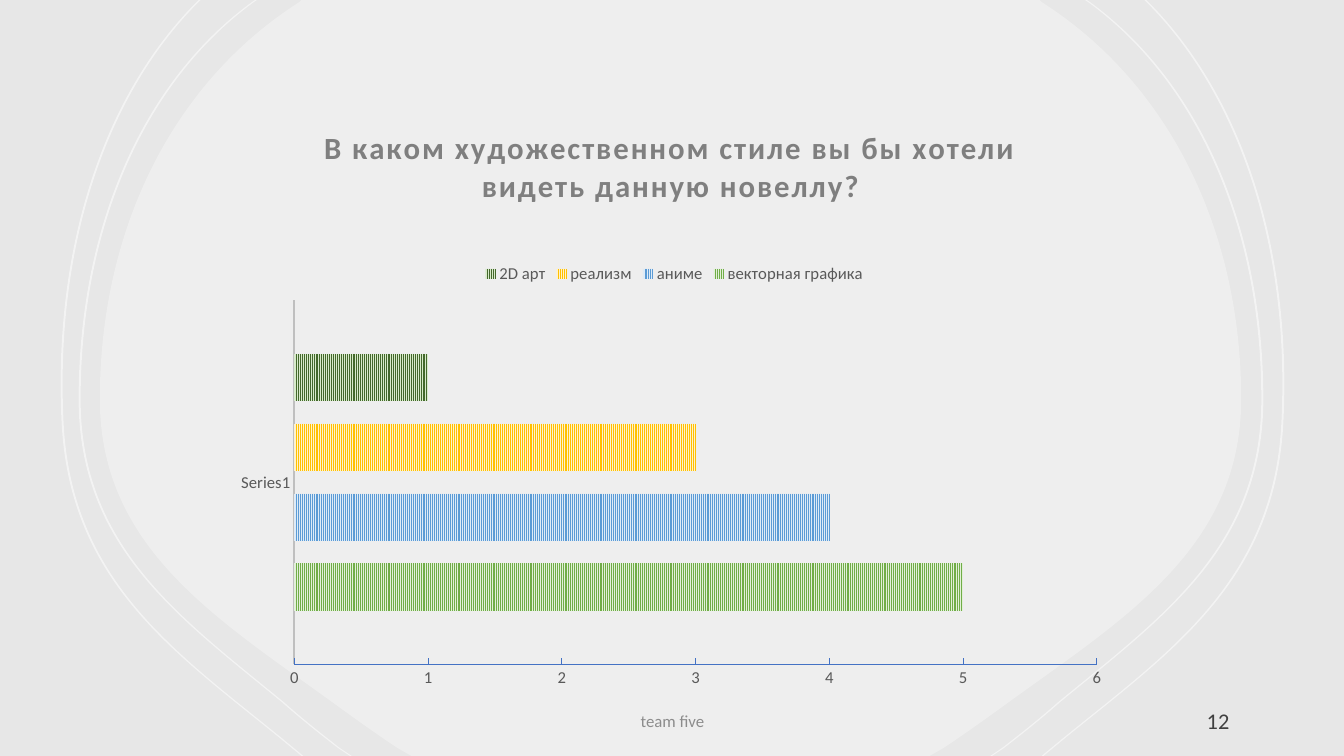
from lxml import etree
from pptx import Presentation
from pptx.chart.data import CategoryChartData
from pptx.dml.color import RGBColor
from pptx.enum.chart import XL_CHART_TYPE, XL_LEGEND_POSITION, XL_TICK_MARK
from pptx.enum.dml import MSO_PATTERN
from pptx.enum.shapes import MSO_SHAPE
from pptx.enum.text import MSO_ANCHOR, PP_ALIGN
from pptx.oxml import parse_xml
from pptx.oxml.ns import nsdecls, qn
from pptx.util import Inches, Pt

RECTANGLE = MSO_SHAPE.RECTANGLE
BAR_CLUSTERED = XL_CHART_TYPE.BAR_CLUSTERED
LEGEND_TOP = XL_LEGEND_POSITION.TOP
TICK_NONE, TICK_INSIDE = XL_TICK_MARK.NONE, XL_TICK_MARK.INSIDE
NARROW_VERTICAL = MSO_PATTERN.NARROW_VERTICAL
MIDDLE = MSO_ANCHOR.MIDDLE
LEFT, CENTER = PP_ALIGN.LEFT, PP_ALIGN.CENTER

FONT = "Calibri"
WHITE = RGBColor(0xFF, 0xFF, 0xFF)
BACKDROP = RGBColor(0xE7, 0xE7, 0xE7)
TITLE_GRAY = RGBColor(0x7F, 0x7F, 0x7F)
LABEL_GRAY = RGBColor(0x59, 0x59, 0x59)
FOOTER_GRAY = RGBColor(0x8C, 0x8C, 0x8C)
NUMBER_GRAY = RGBColor(0x40, 0x40, 0x40)
AXIS_GRAY = RGBColor(0xBF, 0xBF, 0xBF)
AXIS_BLUE = RGBColor(0x44, 0x72, 0xC4)

CHART_WIDTH, CHART_HEIGHT = 8.89, 5.93

# Left halves of the curves: start, line to the next point, Bezier triples, line to the end
BLOB = [(2.99, 0), (2.97, 0.02), (1.7, 0.83), (0.99, 2.29), (0.99, 3.96),
        (0.99, 5.43), (2.14, 6.13), (3.3, 6.97),
        (3.52, 7.13), (3.73, 7.28), (3.94, 7.42), (4.08, 7.5)]
INNER_RING = [(2.53, 0), (2.5, 0.02), (1.39, 0.83), (0.78, 2.29), (0.78, 3.96),
              (0.78, 5.43), (1.78, 6.13), (2.8, 6.97),
              (2.98, 7.13), (3.17, 7.28), (3.35, 7.42), (3.47, 7.5)]
OUTER_RING = [(1.97, 0), (1.94, 0.03), (1.01, 0.97), (0.53, 2.48), (0.61, 4.17),
              (0.68, 5.75), (1.7, 6.45), (2.76, 7.31), (2.99, 7.5)]
RING_WIDTH = 0.02

# Series name, value, stripe colour, ground colour
ANSWERS = [
    ("векторная графика", 5, RGBColor(0x70, 0xAD, 0x47), RGBColor(0xE2, 0xF0, 0xD9)),
    ("аниме", 4, RGBColor(0x5B, 0x9B, 0xD5), RGBColor(0xDE, 0xEB, 0xF7)),
    ("реализм", 3, RGBColor(0xFF, 0xC0, 0x00), RGBColor(0xFF, 0xF2, 0xCC)),
    ("2D арт", 1, RGBColor(0x43, 0x68, 0x2B), RGBColor(0xD8, 0xEA, 0xCB)),
]


def draw_band(shapes, edge, far_edge, opacity):
    """Fill the space between two curved edges with translucent white."""
    corners = [(Inches(x), Inches(y)) for x, y in edge + far_edge[::-1]]
    builder = shapes.build_freeform(*corners[0])
    builder.add_line_segments(corners[1:], close=True)
    band = builder.convert_to_shape()
    lines = list(band.element.iter(qn("a:lnTo")))
    # Each edge has a straight step at both ends and Bezier triples between them
    for first in (1, len(edge) + 1):
        for index in range(first, first + len(edge) - 3, 3):
            curve = etree.Element(qn("a:cubicBezTo"))
            lines[index].addprevious(curve)
            for line in lines[index:index + 3]:
                curve.append(line[0])
                line.getparent().remove(line)
    band.shadow.inherit = False
    band.line.fill.background()
    band.fill.solid()
    band.fill.fore_color.rgb = WHITE
    color = next(band.element.spPr.iter(qn("a:srgbClr")))
    etree.SubElement(color, qn("a:alpha")).set("val", str(opacity * 1000))


def place(element, x, y, width=None, height=None):
    """Lay out a chart part by inches from the chart's corner; a sized part is the plot."""
    for old in element.findall(qn("c:layout")):
        element.remove(old)
    layout = parse_xml(f"<c:layout {nsdecls('c')}><c:manualLayout/></c:layout>")
    settings = [("layoutTarget", "inner")] if width else []
    settings += [("xMode", "edge"), ("yMode", "edge"),
                 ("x", x / CHART_WIDTH), ("y", y / CHART_HEIGHT)]
    if width:
        settings += [("w", width / CHART_WIDTH), ("h", height / CHART_HEIGHT)]
    for tag, value in settings:
        etree.SubElement(layout[0], qn("c:" + tag)).set("val", str(value))
    element.insert(0 if width else 1, layout)


deck = Presentation()
deck.slide_width, deck.slide_height = Inches(13.33), Inches(7.5)
page = deck.slides.add_slide(deck.slide_layouts[6])

backdrop = page.shapes.add_shape(RECTANGLE, 0, 0, deck.slide_width, deck.slide_height)
backdrop.shadow.inherit = False
backdrop.line.fill.background()
backdrop.fill.solid()
backdrop.fill.fore_color.rgb = BACKDROP

# Pale blob and the two rings on each side of it
draw_band(page.shapes, BLOB, [(13.3 - x, y) for x, y in BLOB], 30)
for ring, mirror in ((INNER_RING, 13.31), (OUTER_RING, 13.34)):
    for outer in (ring, [(mirror - RING_WIDTH - x, y) for x, y in ring]):
        draw_band(page.shapes, outer, [(x + RING_WIDTH, y) for x, y in outer], 50)

# Survey chart
survey = CategoryChartData()
survey.categories = ["Series1"]
for name, votes, stripe, ground in ANSWERS:
    survey.add_series(name, [votes])
chart = page.shapes.add_chart(BAR_CLUSTERED, Inches(2.21), Inches(1.03),
                              Inches(CHART_WIDTH), Inches(CHART_HEIGHT), survey).chart
chart.font.name, chart.font.size = FONT, Pt(11.9)
chart.font.color.rgb = LABEL_GRAY

plot = chart.plots[0]
plot.gap_width, plot.overlap, plot.vary_by_categories = 227, -48, False
for series, (name, votes, stripe, ground) in zip(plot.series, ANSWERS):
    fill = series.format.fill
    fill.patterned()
    fill.pattern = NARROW_VERTICAL
    fill.fore_color.rgb, fill.back_color.rgb = stripe, ground

for axis, tick, color, width in ((chart.category_axis, TICK_NONE, AXIS_GRAY, 1.5),
                                 (chart.value_axis, TICK_INSIDE, AXIS_BLUE, 0.75)):
    axis.has_major_gridlines = False
    axis.major_tick_mark, axis.minor_tick_mark = tick, TICK_NONE
    axis.format.line.color.rgb = color
    axis.format.line.width = Pt(width)
chart.value_axis.minimum_scale, chart.value_axis.maximum_scale = 0, 6
chart.value_axis.major_unit = 1

chart.has_title = True
title = chart.chart_title.text_frame.paragraphs[0]
title.text = "В каком художественном стиле вы бы хотели видеть данную новеллу?"
title.alignment = CENTER
title.font.name, title.font.size, title.font.bold = FONT, Pt(22), True
title.font.color.rgb = TITLE_GRAY
for properties in title._p.iter(qn("a:defRPr")):
    properties.set("spc", "150")

chart.has_legend = True
chart.legend.position = LEGEND_TOP
chart.legend.include_in_layout = False

place(chart.chart_title._element, 0.95, 0.17)
place(chart.legend._element, 2.55, 1.55)
place(chart._chartSpace.chart.plotArea, 0.71, 1.95, 7.96, 3.61)

# Footer and page number
for words, left, width, size, color, alignment in (
        ("team five", 4.42, 4.5, 12, FOOTER_GRAY, CENTER),
        ("12", 11.87, 1.3, 16, NUMBER_GRAY, LEFT)):
    box = page.shapes.add_textbox(Inches(left), Inches(6.95), Inches(width), Inches(0.4))
    box.text_frame.word_wrap = True
    box.text_frame.vertical_anchor = MIDDLE
    para = box.text_frame.paragraphs[0]
    para.text, para.alignment = words, alignment
    para.font.name, para.font.size = FONT, Pt(size)
    para.font.color.rgb = color

deck.save("out.pptx")
